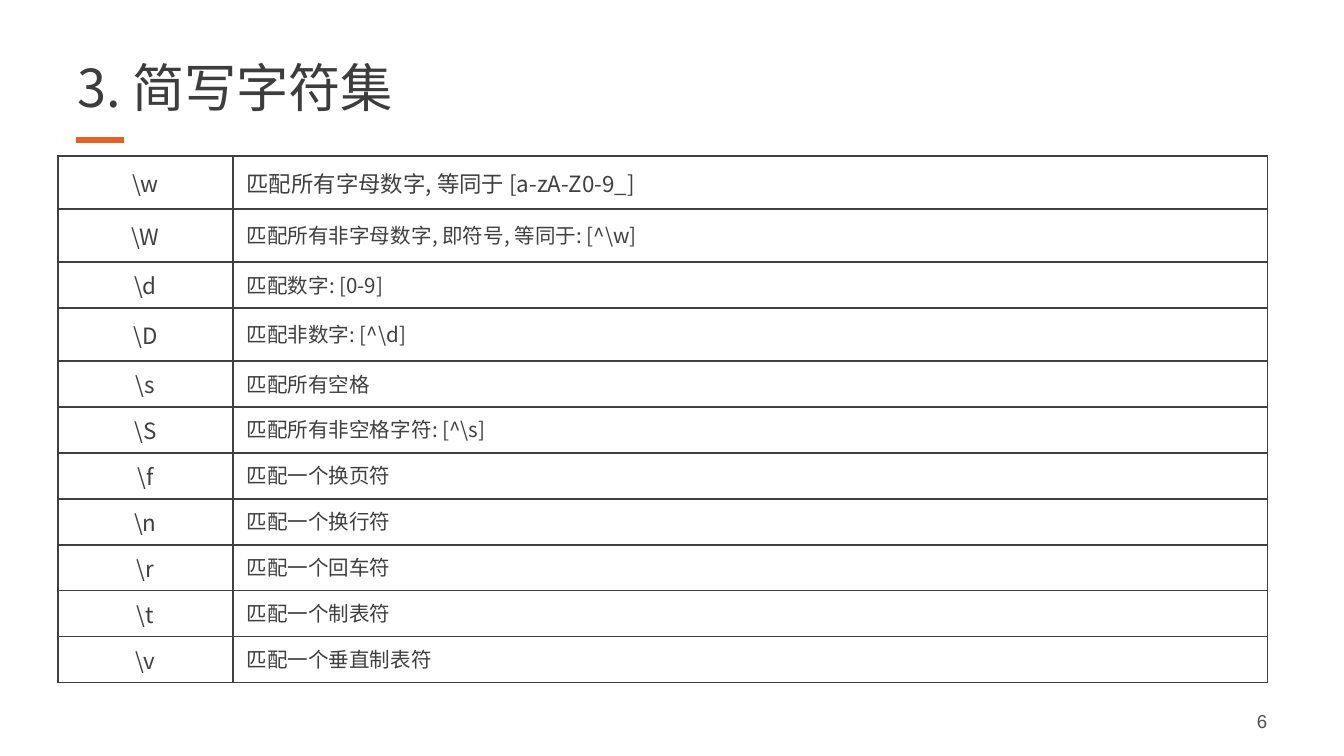
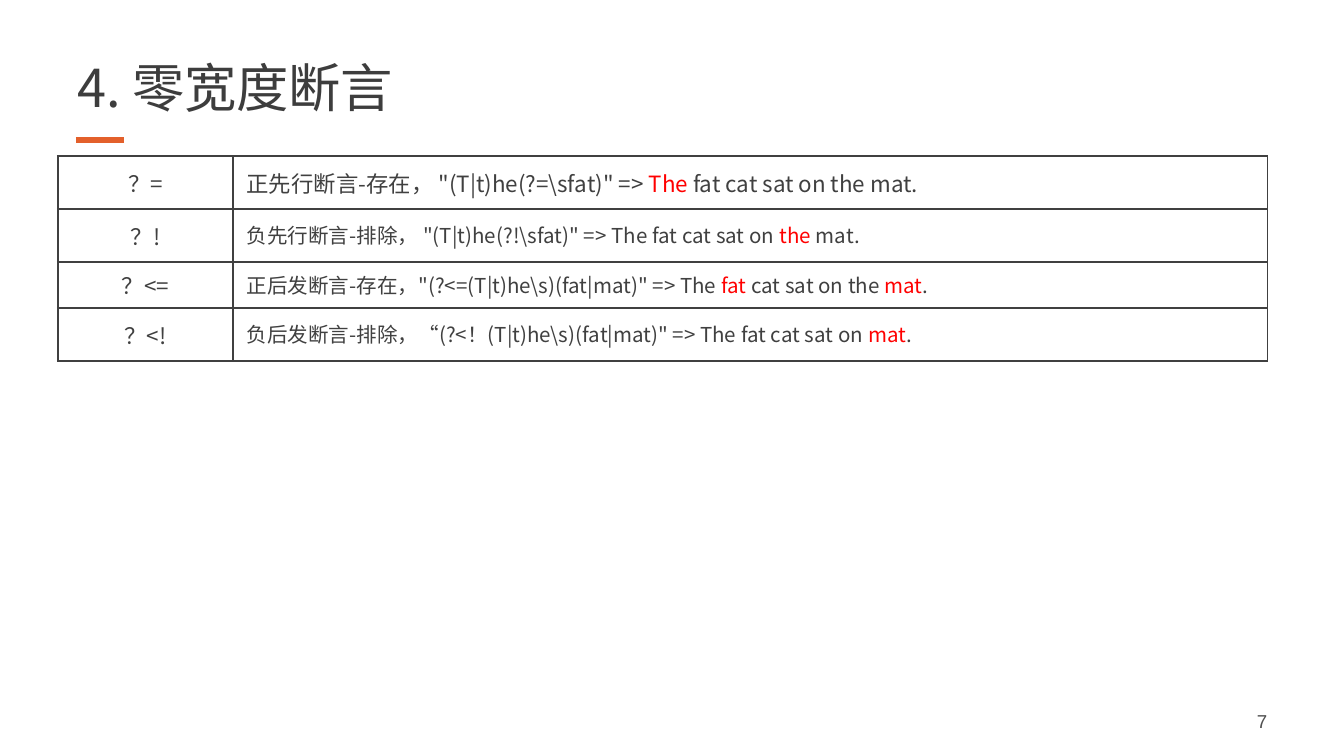
from dataclasses import dataclass
from itertools import chain, repeat

from lxml import etree
from pptx import Presentation
from pptx import util as u
from pptx.dml.color import RGBColor
from pptx.enum import shapes, text
from pptx.oxml.ns import qn

WIDE = 10
HIGH = WIDE * 9 / 16
COLS, ROWS = 100, 56.25


@dataclass(frozen=True)
class Theme:
    sans: str = "Noto Sans CJK SC"
    plain: str = "Arial"
    head: str = "3D3D3D"
    ink: str = "404040"
    foot: str = "505050"
    bar: str = "E3602B"
    mark: str = "FF0000"
    big: int = 28
    mid: int = 12
    small: int = 11
    tiny: int = 10


class Deck:
    def __init__(self, theme):
        self.theme = theme
        self.show = Presentation()
        self.show.slide_width = u.Inches(WIDE)
        self.show.slide_height = u.Inches(HIGH)
        self.page = None

    def x(self, cols):
        return u.Inches(WIDE * cols / COLS)

    def y(self, rows):
        return u.Inches(HIGH * rows / ROWS)

    def font(self, para, size, color, face):
        font = para.font
        font.size = u.Pt(size)
        font.color.rgb = RGBColor.from_string(color)
        font.name = face
        latin = font._element.find(qn("a:latin"))
        east = etree.Element(qn("a:ea"), typeface=face)
        latin.addnext(east)

    def fill(self, para, words):
        """Add runs; words between asterisks take the mark colour."""
        for i, part in enumerate(words.split("*")):
            run = para.add_run()
            run.text = part
            if i % 2:
                run.font.color.rgb = RGBColor.from_string(self.theme.mark)

    def label(self, words, left, top, wide, high, size, color, face, anchor):
        box = self.page.shapes.add_textbox(
            self.x(left), self.y(top), self.x(wide), self.y(high))
        frame = box.text_frame
        frame.word_wrap = True
        frame.vertical_anchor = anchor
        para = frame.paragraphs[0]
        self.fill(para, words)
        self.font(para, size, color, face)
        return para

    def rule(self, left, right, top):
        line = self.page.shapes.add_connector(
            shapes.MSO_CONNECTOR.STRAIGHT,
            self.x(left), self.y(top), self.x(right), self.y(top))
        line.line.color.rgb = RGBColor.from_string(self.theme.bar)
        line.line.width = u.Pt(3)
        etree.SubElement(line._element.spPr, qn("a:effectLst"))

    def start(self, title, number):
        t = self.theme
        self.page = self.show.slides.add_slide(self.show.slide_layouts[6])
        self.rule(5.65, 9.22, 10.44)
        head = self.label(title, 4.75, 1.1, 91.7, 8.1, t.big, t.head, t.sans,
                          text.MSO_ANCHOR.BOTTOM)
        head.line_spacing = 0.75
        self.label(str(number), 92.54, 52.14, 3.9, 3, t.tiny, t.foot, t.plain,
                   text.MSO_ANCHOR.MIDDLE)

    def edge(self, cell):
        """Draw all four borders, ahead of the cell's fill."""
        props = cell._tc.get_or_add_tcPr()
        for i, side in enumerate(("lnL", "lnR", "lnT", "lnB")):
            line = etree.Element(qn(f"a:{side}"), w=str(u.Pt(1)))
            solid = etree.SubElement(line, qn("a:solidFill"))
            etree.SubElement(solid, qn("a:srgbClr"), val=self.theme.ink)
            props.insert(i, line)

    def cell(self, cell, words, size):
        cell.fill.background()
        cell.vertical_anchor = text.MSO_ANCHOR.MIDDLE
        self.edge(cell)
        para = cell.text_frame.paragraphs[0]
        self.fill(para, words)
        self.font(para, size, self.theme.ink, self.theme.sans)
        return para

    def table(self, pairs):
        t = self.theme
        tall, low = 3.95, 3.42
        highs = [h for _, h in zip(pairs, chain((tall, tall, low, tall),
                                                repeat(low)))]
        grid = self.page.shapes.add_table(
            len(pairs), 2, self.x(4.3), self.y(11.6),
            self.x(90), self.y(sum(highs))).table
        grid.first_row = grid.horz_banding = False
        for col, wide in zip(grid.columns, (13.05, 76.95)):
            col.width = self.x(wide)
        for i, (sign, note) in enumerate(pairs):
            grid.rows[i].height = self.y(highs[i])
            para = self.cell(grid.cell(i, 0), sign, t.mid)
            para.alignment = text.PP_ALIGN.CENTER
            para = self.cell(grid.cell(i, 1), note, t.small if i else t.mid)
            if i:
                para.line_spacing = 0.9
                para.space_after = u.Pt(0.15 * t.small)


SETS = [
    (r"\w", "匹配所有字母数字, 等同于 [a-zA-Z0-9_]"),
    (r"\W", r"匹配所有非字母数字, 即符号, 等同于: [^\w]"),
    (r"\d", "匹配数字: [0-9]"),
    (r"\D", r"匹配非数字: [^\d]"),
    (r"\s", "匹配所有空格"),
    (r"\S", r"匹配所有非空格字符: [^\s]"),
    (r"\f", "匹配一个换页符"),
    (r"\n", "匹配一个换行符"),
    (r"\r", "匹配一个回车符"),
    (r"\t", "匹配一个制表符"),
    (r"\v", "匹配一个垂直制表符"),
]

LOOKS = [
    ("？=", r'正先行断言-存在， "(T|t)he(?=\sfat)" => *The* fat cat sat on the mat.'),
    ("？!", r'负先行断言-排除， "(T|t)he(?!\sfat)" => The fat cat sat on *the* mat.'),
    ("？<=", r'正后发断言-存在，"(?<=(T|t)he\s)(fat|mat)" => '
             "The *fat* cat sat on the *mat*."),
    ("？<!", r'负后发断言-排除，“(?<！(T|t)he\s)(fat|mat)" => '
             "The fat cat sat on *mat*."),
]


def main():
    deck = Deck(Theme())
    for number, title, pairs in ((6, "3. 简写字符集", SETS),
                                 (7, "4. 零宽度断言", LOOKS)):
        deck.start(title, number)
        deck.table(pairs)
    deck.show.save("out.pptx")


if __name__ == "__main__":
    main()
